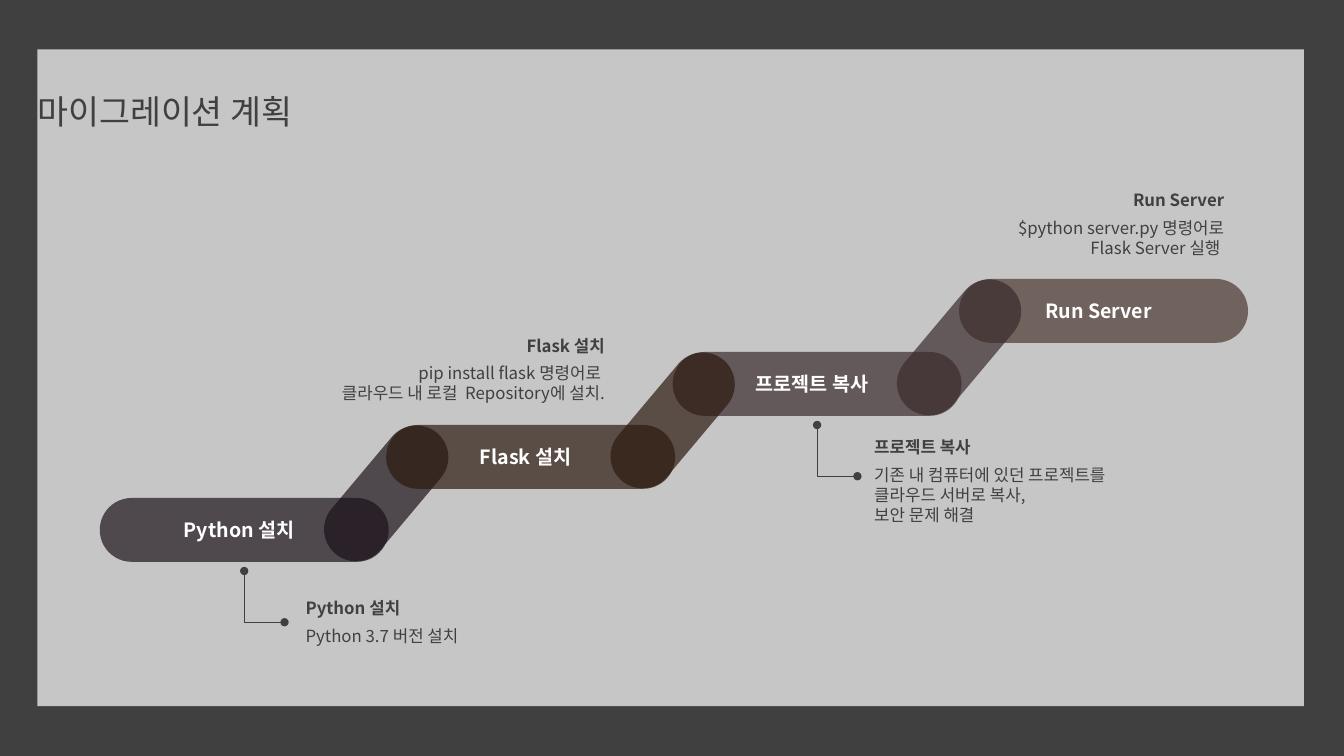
from pptx import Presentation
from pptx.dml.color import RGBColor
from pptx.enum.shapes import MSO_CONNECTOR, MSO_SHAPE
from pptx.enum.text import MSO_ANCHOR, MSO_AUTO_SIZE, PP_ALIGN
from pptx.oxml.ns import qn
from pptx.util import Inches, Pt
from lxml.etree import SubElement

FONT = "Noto Sans CJK KR"
WIDE, HIGH = Inches(13.33), Inches(7.5)
COLS, ROWS = 160, 90
COLORS = {
    "dark": "404040", "panel": "C6C6C6", "white": "FFFFFF",
    "plum": "1D131B", "brown": "2D1A0F", "wine": "3B2B2D", "clay": "4C3830",
}
PANEL = (4.44, 5.88, 150.8, 78.2)
START, PITCH = (11.88, 59.28), (34.1, -8.69)
BAR, LINK = (34.4, 7.6), (18.8, 7.6)
STEPS = [
    ("Python 설치", "plum", (24.5, 11.28, 46.6), PP_ALIGN.LEFT,
     ["Python 3.7 버전 설치"]),
    ("Flask 설치", "brown", (-20.28, -11.28, 47.5), PP_ALIGN.RIGHT,
     ["pip install flask 명령어로 ", "클라우드 내 로컬  Repository에 설치."]),
    ("프로젝트 복사", "wine", (24, 9.48, 44.8), PP_ALIGN.LEFT,
     ["기존 내 컴퓨터에 있던 프로젝트를", "클라우드 서버로 복사,", "보안 문제 해결"]),
    ("Run Server", "clay", (-14.76, -11.16, 47.5), PP_ALIGN.RIGHT,
     ["$python server.py 명령어로", "Flask Server 실행 "]),
]


def grid(x, y, w, h):
    return (int(WIDE * x / COLS), int(HIGH * y / ROWS),
            int(WIDE * w / COLS), int(HIGH * h / ROWS))


def tint(name):
    return RGBColor.from_string(COLORS[name])


def write(frame, lines, size, color="dark", bold=False,
          align=PP_ALIGN.LEFT, anchor=MSO_ANCHOR.MIDDLE):
    frame.word_wrap = True
    frame.auto_size = MSO_AUTO_SIZE.NONE
    frame.vertical_anchor = anchor
    frame.margin_left, frame.margin_right = 0, Inches(0.1)
    frame.margin_top = frame.margin_bottom = Inches(0.05)
    for i, line in enumerate(lines):
        para = frame.add_paragraph() if i else frame.paragraphs[0]
        para.alignment = align
        para.line_spacing = Pt(size * 1.2)
        para.space_before = Pt(0)
        run = para.add_run()
        run.text = line
        run.font.name = FONT
        run.font.size = Pt(size)
        run.font.bold = bold
        run.font.color.rgb = tint(color)
        SubElement(run.font._element, qn("a:ea")).set("typeface", FONT)


def block(slide, kind, box, color, alpha=None):
    shape = slide.shapes.add_shape(kind, *grid(*box))
    shape.shadow.inherit = False
    shape.fill.solid()
    shape.fill.fore_color.rgb = tint(color)
    shape.line.fill.background()
    if alpha:
        fill = shape.element.spPr.find(".//" + qn("a:srgbClr"))
        SubElement(fill, qn("a:alpha")).set("val", str(alpha * 1000))
    return shape


def pill(slide, box, color, turn=0):
    shape = block(slide, MSO_SHAPE.ROUNDED_RECTANGLE, box, color, 70)
    shape.adjustments[0] = 0.5
    shape.rotation = turn
    return shape


def frame(slide):
    back = slide.background.fill
    back.solid()
    back.fore_color.rgb = tint("dark")
    panel = block(slide, MSO_SHAPE.RECTANGLE, PANEL, "panel")
    title = slide.shapes.title
    title.element.addprevious(panel.element)
    x, y, w, h = PANEL
    title.left, title.top, title.width, title.height = grid(x, y + 4, w * 0.8, 6.6)
    write(title.text_frame, ["마이그레이션 계획"], 24)


def place(i):
    return START[0] + i * PITCH[0], START[1] + i * PITCH[1]


def link(slide, i):
    x, y = place(i)
    pill(slide, (x + 24.7, y - 4.35, *LINK), STEPS[i][1], 310)


def bar(slide, i):
    label, color = STEPS[i][:2]
    shape = pill(slide, (*place(i), *BAR), color)
    write(shape.text_frame, [label], 14, "white", True, PP_ALIGN.CENTER)


def note(slide, i):
    head, _, (dx, dy, wide), align, lines = STEPS[i]
    x, y = place(i)
    left, top = x + dx, y + dy
    group = slide.shapes.add_group_shape()
    name = group.shapes.add_textbox(*grid(left, top, wide, 3.6))
    write(name.text_frame, [head], 12, bold=True, align=align)
    tall = 1.2 + 2.4 * len(lines)
    body = group.shapes.add_textbox(*grid(left, top + 3.3, wide, tall))
    write(body.text_frame, lines, 12, align=align, anchor=MSO_ANCHOR.TOP)


def hook(slide, i):
    x, y = place(i)
    left, top, wide, tall = grid(x + 17.2, y + 8.7, 4.8, 6.1)
    line = slide.shapes.add_connector(
        MSO_CONNECTOR.ELBOW, left + wide, top + tall, left, top)
    line.line.color.rgb = tint("dark")
    line.line.width = Pt(0.5)
    props = line.element.spPr
    props.find(qn("a:prstGeom")).set("prst", "bentConnector2")
    for end in ("a:headEnd", "a:tailEnd"):
        SubElement(props.find(qn("a:ln")), qn(end)).set("type", "oval")
    SubElement(props, qn("a:effectLst"))


def stairs(slide):
    link(slide, 0)
    for i in range(len(STEPS)):
        bar(slide, i)
    for i in range(1, len(STEPS) - 1):
        link(slide, i)
    for i, step in enumerate(STEPS):
        note(slide, i)
        if step[3] == PP_ALIGN.LEFT:
            hook(slide, i)


def main():
    deck = Presentation()
    deck.slide_width, deck.slide_height = WIDE, HIGH
    slide = deck.slides.add_slide(deck.slide_layouts[5])
    frame(slide)
    stairs(slide)
    deck.save("out.pptx")


if __name__ == "__main__":
    main()
